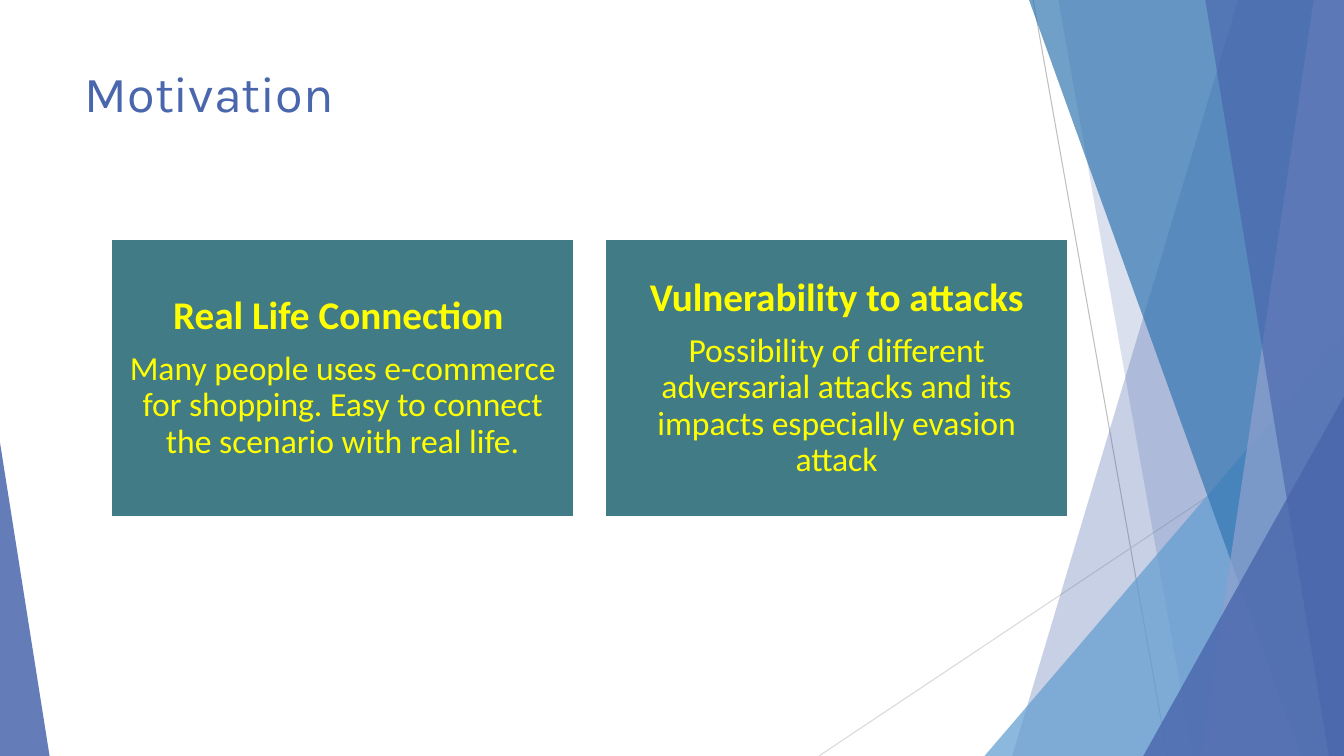
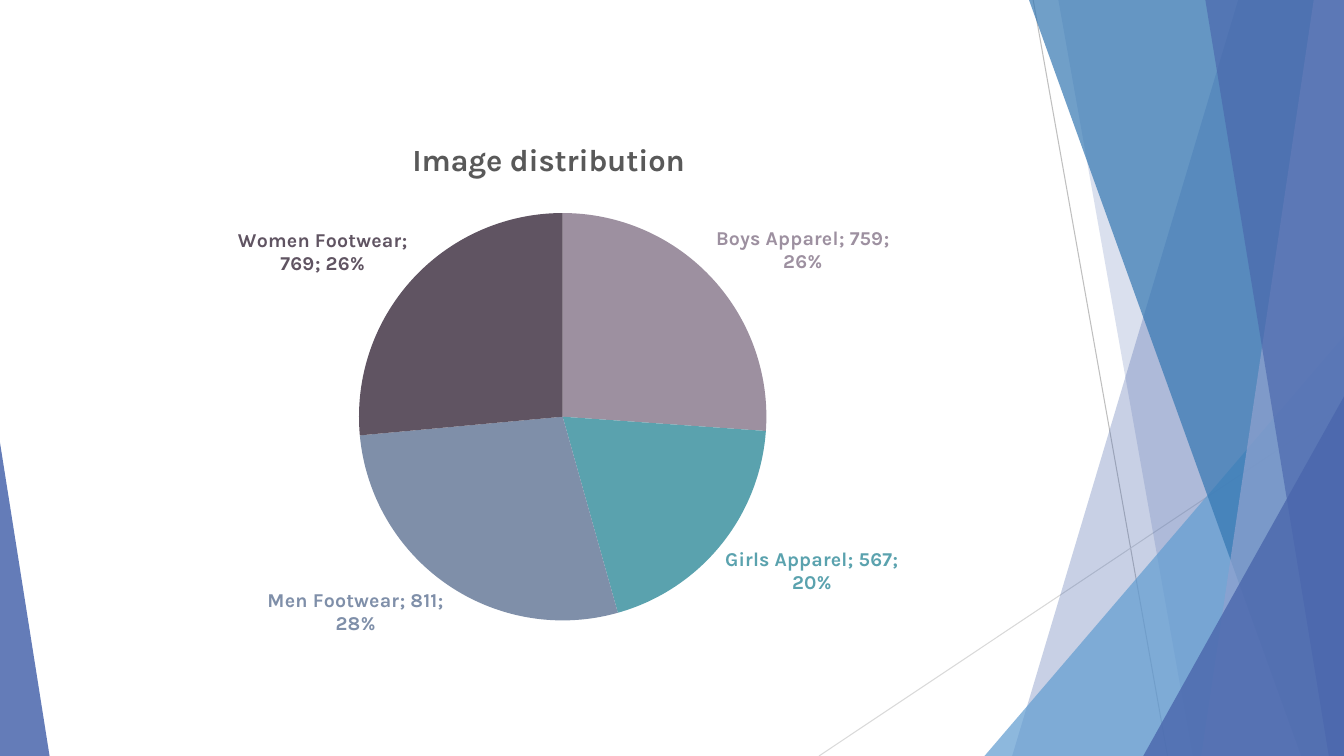
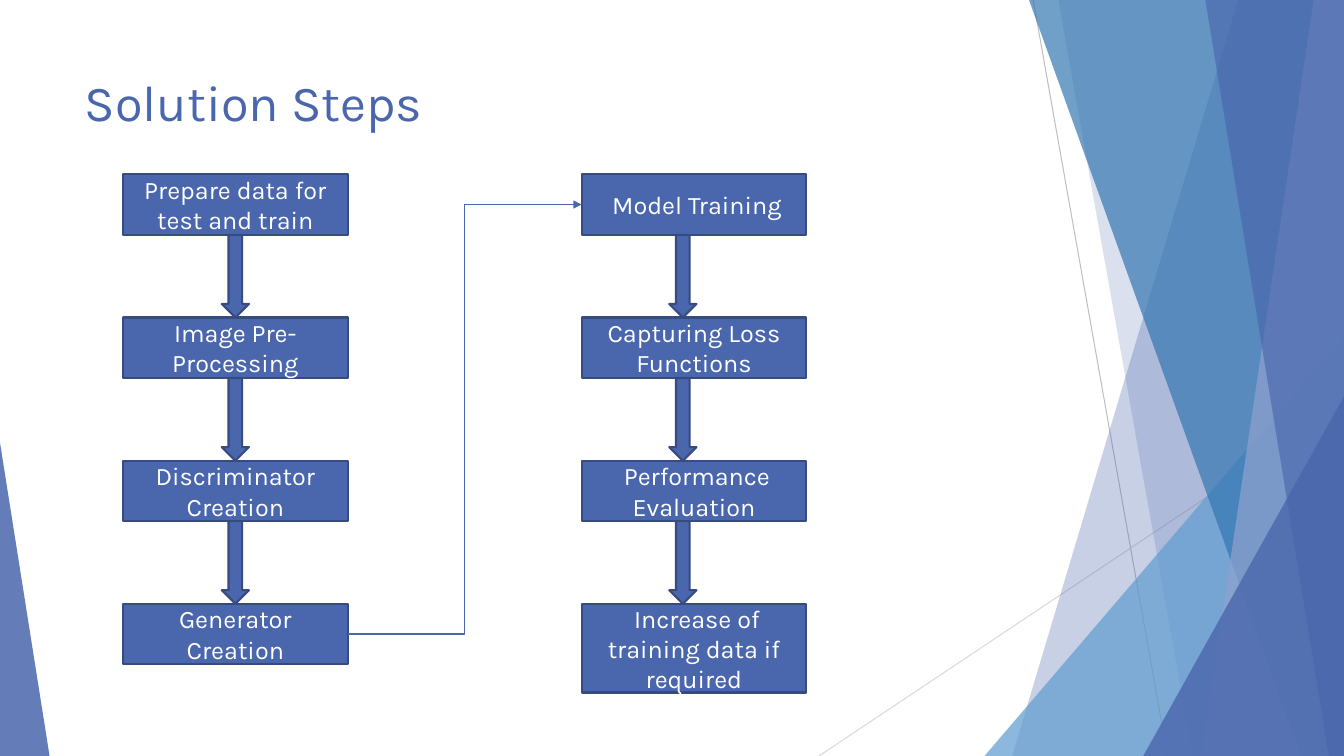
import pptx
import pptx.util
import pptx.chart.data
import pptx.dml.color
import pptx.enum.chart
import pptx.enum.shapes
import pptx.enum.text
import pptx.oxml.ns
from lxml import etree

COLUMNS, ROWS = 160, 90
SHAPE = pptx.enum.shapes.MSO_SHAPE
CONNECTOR = pptx.enum.shapes.MSO_CONNECTOR
ANCHOR = pptx.enum.text.MSO_ANCHOR
ALIGN = pptx.enum.text.PP_ALIGN
qn = pptx.oxml.ns.qn


def rgb(value):
    return pptx.dml.color.RGBColor.from_string(value)


class Deck:
    blue = "4A66AC"
    navy = "374B7F"
    teal = "417B85"
    yellow = "FFFF00"
    white = "FFFFFF"
    font = "Karla"

    def __init__(self):
        self.prs = pptx.Presentation()
        self.prs.slide_width = pptx.util.Inches(13.333)
        self.prs.slide_height = pptx.util.Inches(7.5)
        self.s = None

    def x(self, columns):
        return round(self.prs.slide_width * columns / COLUMNS)

    def y(self, rows):
        return round(self.prs.slide_height * rows / ROWS)

    def box(self, left, top, width, height):
        return self.x(left), self.y(top), self.x(width), self.y(height)

    def slide(self, title=None, top=0, height=0):
        layout = self.prs.slide_layouts[5 if title else 6]
        self.s = self.prs.slides.add_slide(layout)
        if title:
            self.title(title, top, height)
        self.backdrop()

    def title(self, text, top, height):
        sp = self.s.shapes.title
        sp.left, sp.top, sp.width, sp.height = self.box(8.9, top, 112.8, height)
        tf = sp.text_frame
        tf.auto_size = pptx.enum.text.MSO_AUTO_SIZE.NONE
        tf.vertical_anchor = ANCHOR.TOP
        p = tf.paragraphs[0]
        p.alignment = ALIGN.LEFT
        self.run(p, text, 36, self.blue)

    def backdrop(self):
        self.line((123, 0), (139, 90), "BFBFBF", 0.75)
        self.line((160, 48.3), (97.5, 90), "D9D9D9", 0.75)
        self.band(147.4, 120.5, self.blue, 30)
        self.band(126, 142, self.blue, 20)
        self.triangle(117.2, 40, 42.8, 1, "629DD1", 72)
        self.band(122.5, 154.9, "3477B2", 70)
        self.band(156.4, 143, "90A2CF", 70)
        self.band(143.5, 158.2, self.blue, 65)
        self.triangle(136.1, 47.2, 23.9, 1, self.blue, 80)
        self.triangle(0, 52.7, 5.9, 0, self.blue, 85)

    def paint(self, sp, fill, line=None, opacity=100):
        sp.shadow.inherit = False
        sp.fill.solid()
        sp.fill.fore_color.rgb = rgb(fill)
        if opacity < 100:
            color = sp._element.spPr.find(".//" + qn("a:srgbClr"))
            etree.SubElement(color, qn("a:alpha")).set("val", str(opacity * 1000))
        if line:
            sp.line.color.rgb = rgb(line)
            sp.line.width = pptx.util.Pt(1.5)
        else:
            sp.line.fill.background()

    def band(self, top_x, bottom_x, color, opacity):
        fb = self.s.shapes.build_freeform(self.x(top_x), 0)
        corners = [(COLUMNS, 0), (COLUMNS, ROWS), (bottom_x, ROWS)]
        fb.add_line_segments([(self.x(x), self.y(y)) for x, y in corners], close=True)
        self.paint(fb.convert_to_shape(), color, opacity=opacity)

    def triangle(self, left, top, width, apex, color, opacity):
        sp = self.s.shapes.add_shape(
            SHAPE.ISOSCELES_TRIANGLE, *self.box(left, top, width, ROWS - top))
        sp.adjustments[0] = apex
        self.paint(sp, color, opacity=opacity)

    def shape(self, kind, left, top, width, height, fill, line):
        sp = self.s.shapes.add_shape(kind, *self.box(left, top, width, height))
        self.paint(sp, fill, line)
        return sp

    def run(self, p, text, size, color, font=None, bold=False):
        r = p.add_run()
        r.text = text
        r.font.size = pptx.util.Pt(size)
        r.font.name = font or self.font
        r.font.bold = bold
        r.font.color.rgb = rgb(color)

    def line(self, start, end, color, width, kind=CONNECTOR.STRAIGHT, arrow=False):
        cx = self.s.shapes.add_connector(
            kind, self.x(start[0]), self.y(start[1]), self.x(end[0]), self.y(end[1]))
        cx.line.color.rgb = rgb(color)
        cx.line.width = pptx.util.Pt(width)
        spPr = cx._element.spPr
        if arrow:
            etree.SubElement(spPr.find(qn("a:ln")), qn("a:tailEnd")).set("type", "triangle")
        etree.SubElement(spPr, qn("a:effectLst"))
        return cx

    def card(self, left, heading, body):
        sp = self.shape(SHAPE.RECTANGLE, left, 28.44, 55.2, 33.12, self.teal, self.white)
        tf = sp.text_frame
        tf.word_wrap = True
        tf.vertical_anchor = ANCHOR.MIDDLE
        inset = pptx.util.Inches(0.12)
        tf.margin_left = tf.margin_right = tf.margin_top = tf.margin_bottom = inset
        for i, (text, size) in enumerate([(heading, 28), (body, 24)]):
            p = tf.add_paragraph() if i else tf.paragraphs[0]
            p.alignment = ALIGN.CENTER
            p.line_spacing = 0.9
            p.space_after = pptx.util.Pt(size * 0.35)
            self.run(p, text, size, self.yellow, "Calibri", bold=i == 0)

    def step(self, left, top, height, text):
        sp = self.shape(SHAPE.RECTANGLE, left, top, 26.76, height, self.blue, self.navy)
        tf = sp.text_frame
        tf.word_wrap = True
        tf.vertical_anchor = ANCHOR.MIDDLE
        p = tf.paragraphs[0]
        p.alignment = ALIGN.CENTER
        self.run(p, text, 18, self.white)
        return sp

    def arrow(self, left, top):
        self.shape(SHAPE.DOWN_ARROW, left, top, 3.24, 9.84, self.blue, self.navy)

    def pie(self, title, slices):
        data = pptx.chart.data.CategoryChartData()
        data.categories = [name for name, _, _ in slices]
        data.add_series("Series 1", [value for _, value, _ in slices])
        chart = self.s.shapes.add_chart(
            pptx.enum.chart.XL_CHART_TYPE.PIE, *self.box(8.9, 14.04, 112.8, 65.28), data).chart
        chart.font.name = self.font
        chart.font.size = pptx.util.Pt(10)
        chart.has_legend = False
        chart.has_title = True
        self.run(chart.chart_title.text_frame.paragraphs[0], title, 22, "595959", bold=True)
        plot = chart.plots[0]
        plot.vary_by_categories = True
        series = plot.series[0]
        for i, (_, _, color) in enumerate(slices):
            point = series.points[i]
            point.format.fill.solid()
            point.format.fill.fore_color.rgb = rgb(color)
            point.format.line.fill.background()
            label = point.data_label
            label.position = pptx.enum.chart.XL_LABEL_POSITION.OUTSIDE_END
            label.font.name = self.font
            label.font.size = pptx.util.Pt(14)
            label.font.bold = True
            label.font.color.rgb = rgb(color)
        self.label_parts(series._element)
        self.plot_area(plot._element.getparent(), x=0.3, y=0.17, w=0.43, h=0.75)

    def label_parts(self, ser):
        for tag in ("c:showVal", "c:showCatName", "c:showPercent"):
            for flag in ser.iter(qn(tag)):
                flag.set("val", "1")
        for flag in list(ser.iter(qn("c:showBubbleSize"))):
            separator = etree.Element(qn("c:separator"))
            separator.text = "; "
            flag.addnext(separator)

    def plot_area(self, area, **shares):
        for old in area.findall(qn("c:layout")):
            area.remove(old)
        layout = etree.Element(qn("c:layout"))
        area.insert(0, layout)
        manual = etree.SubElement(layout, qn("c:manualLayout"))
        settings = {"layoutTarget": "inner", "xMode": "edge", "yMode": "edge", **shares}
        for tag, value in settings.items():
            etree.SubElement(manual, qn("c:" + tag)).set("val", str(value))


def motivation(deck):
    deck.slide("Motivation", 6.84, 17.28)
    cards = [
        ("Real Life Connection ",
         "Many people uses e-commerce for shopping. "
         "Easy to connect the scenario with real life."),
        ("Vulnerability to attacks",
         "Possibility of different adversarial attacks and its impacts "
         "especially evasion attack"),
    ]
    for i, (heading, body) in enumerate(cards):
        deck.card(13.2 + 58.8 * i, heading, body)


def image_distribution(deck):
    deck.slide()
    deck.pie("Image distribution", [
        ("Boys Apparel", 759, "9D90A0"),
        ("Girls Apparel", 567, "5AA2AE"),
        ("Men Footwear", 811, "7F8FA9"),
        ("Women Footwear", 769, "605462"),
    ])


def solution_steps(deck):
    deck.slide("Solution Steps", 7.92, 9.6)
    columns = [
        (14.64, 26.4, ["Prepare data for test and train", "Image Pre-Processing",
                       "Discriminator Creation", "Generator Creation"]),
        (69.24, 79.68, [" Model Training", "Capturing Loss Functions",
                        " Performance Evaluation",
                        " Increase of training data if required"]),
    ]
    top, pitch, height = 20.76, 17.04, 7.2
    steps = []
    for left, arrow_left, texts in columns:
        for i, text in enumerate(texts):
            tall = 10.56 if "Increase" in text else height
            steps.append(deck.step(left, top + pitch * i, tall, text))
        for i in range(len(texts) - 1):
            deck.arrow(arrow_left, top + pitch * i + height)
    cx = deck.line((41.4, 75.48), (69.24, 24.36), deck.blue, 1, CONNECTOR.ELBOW, arrow=True)
    cx.begin_connect(steps[3], 3)
    cx.end_connect(steps[4], 1)


def main():
    deck = Deck()
    motivation(deck)
    image_distribution(deck)
    solution_steps(deck)
    deck.prs.save("out.pptx")


if __name__ == "__main__":
    main()
